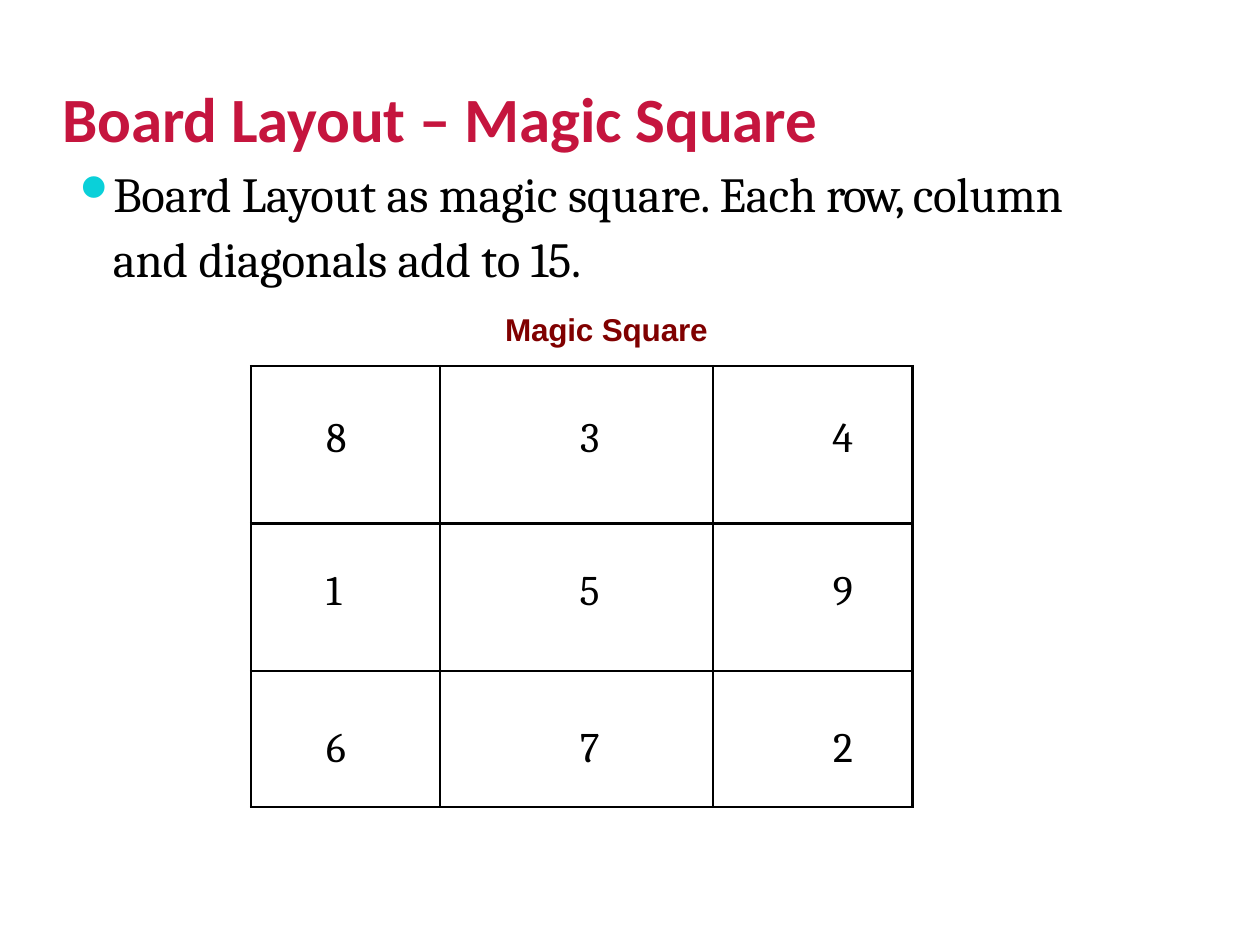
import pptx
import pptx.dml.color
import pptx.enum.text
import pptx.oxml
import pptx.oxml.ns
import pptx.util

Pt = pptx.util.Pt
ALIGN = pptx.enum.text.PP_ALIGN
NS = pptx.oxml.ns.nsdecls("a")

TITLE = {"name": "Calibri", "size": Pt(36), "bold": True, "color": "C5153E"}
BODY = {"name": "Cambria", "size": Pt(28), "color": "000000"}
CAPTION = {"name": "Arial", "size": Pt(18), "bold": True, "color": "800000"}
NUMBER = {"name": "Cambria", "size": Pt(24), "color": "000000"}

SQUARE = [[8, 3, 4], [1, 5, 9], [6, 7, 2]]
COL_WIDTHS = [108, 156.2, 113.8]
ROW_HEIGHTS = [90, 84.2, 77.8]
TOP_MARGINS = [27.5, 25, 31]
# Alignment, left margin and right margin of each column
COL_FORMATS = [(ALIGN.LEFT, 43, 0), (ALIGN.RIGHT, 0, 65), (ALIGN.RIGHT, 0, 34)]


def rgb(color):
    return pptx.dml.color.RGBColor.from_string(color)


def set_attrs(obj, values):
    for name, value in values.items():
        setattr(obj, name, value)


def add_run(p, text, style, spacing=0):
    """Add a styled run; spacing is the tracking in points."""
    r = p.add_run()
    r.text = text
    set_attrs(r.font, {k: v for k, v in style.items() if k != "color"})
    r.font.color.rgb = rgb(style["color"])
    if spacing:
        r._r.get_or_add_rPr().set("spc", str(round(spacing * 100)))


def add_text_frame(s, box):
    tf = s.shapes.add_textbox(*map(Pt, box)).text_frame
    set_attrs(tf, {"word_wrap": True, "margin_left": 0, "margin_right": 0,
                   "margin_top": Pt(1), "margin_bottom": 0})
    return tf


def set_bullet(p, char, color, percent, indent):
    pPr = p._p.get_or_add_pPr()
    pPr.set("marL", str(Pt(indent)))
    pPr.set("indent", str(-Pt(indent)))
    for xml in (f'<a:buClr {NS}><a:srgbClr val="{color}"/></a:buClr>',
                f'<a:buSzPct {NS} val="{percent * 1000}"/>',
                f'<a:buChar {NS} char="{char}"/>'):
        pPr.append(pptx.oxml.parse_xml(xml))


def set_borders(cell, color, width):
    tcPr = cell._tc.get_or_add_tcPr()
    for i, side in enumerate(("lnL", "lnR", "lnT", "lnB")):
        tcPr.insert(i, pptx.oxml.parse_xml(
            f'<a:{side} {NS} w="{Pt(width)}"><a:solidFill>'
            f'<a:srgbClr val="{color}"/></a:solidFill></a:{side}>'))


def add_title(s, box):
    p = add_text_frame(s, box).paragraphs[0]
    add_run(p, "Board Layout – Magic Square", TITLE, -0.1)


def add_body(s, box):
    tf = add_text_frame(s, box)
    p = tf.paragraphs[0]
    set_attrs(p, {"line_spacing": 1.1, "space_before": Pt(1)})
    set_bullet(p, "⚫", "0AD0D9", 95, 22)
    add_run(p, "Board Layout as magic square. Each ", BODY, -0.1)
    add_run(p, "row, ", BODY, -0.9)
    add_run(p, "column and diagonals add to 15.", BODY, -0.1)

    p = tf.add_paragraph()
    set_attrs(p, {"alignment": ALIGN.CENTER, "space_before": Pt(13.2)})
    add_run(p, "Magic Square", CAPTION, -0.1)


def add_square(s, box):
    table = s.shapes.add_table(3, 3, *map(Pt, box)).table
    set_attrs(table, {"first_row": False, "horz_banding": False})
    for col, width in zip(table.columns, COL_WIDTHS):
        col.width = Pt(width)
    for i, (row, height) in enumerate(zip(table.rows, ROW_HEIGHTS)):
        row.height = Pt(height)
        for cell, value, (align, left, right) in zip(row.cells, SQUARE[i], COL_FORMATS):
            set_attrs(cell, {"margin_left": Pt(left), "margin_right": Pt(right),
                             "margin_top": Pt(TOP_MARGINS[i]), "margin_bottom": 0})
            cell.fill.background()
            set_borders(cell, "000000", 1.5)
            p = cell.text_frame.paragraphs[0]
            p.alignment = align
            add_run(p, str(value), NUMBER)


def main():
    prs = pptx.Presentation()
    set_attrs(prs, {"slide_width": Pt(720), "slide_height": Pt(540)})
    s = prs.slides.add_slide(prs.slide_layouts[6])
    add_title(s, (35.8, 44.6, 436, 45))
    add_square(s, (143.4, 209.2, sum(COL_WIDTHS), sum(ROW_HEIGHTS)))
    add_body(s, (42.5, 89.3, 608, 111))
    prs.save("out.pptx")


if __name__ == "__main__":
    main()
